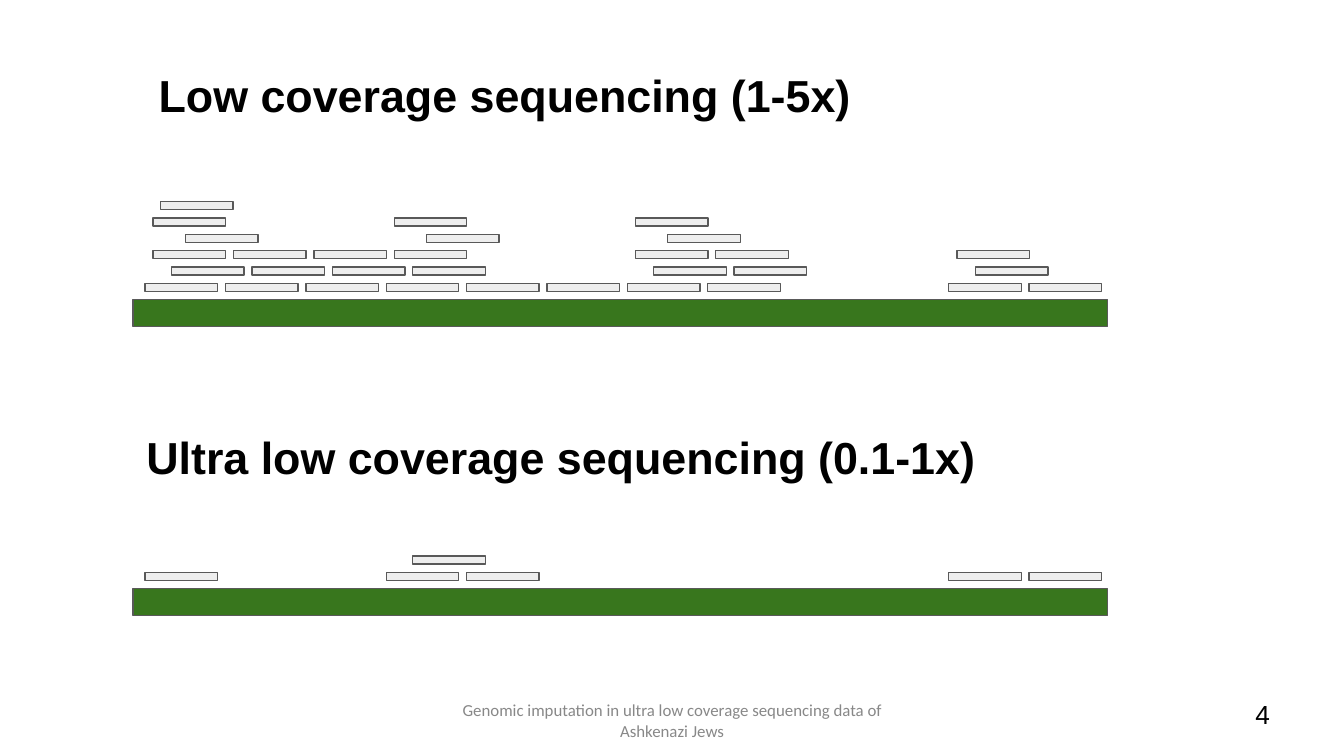
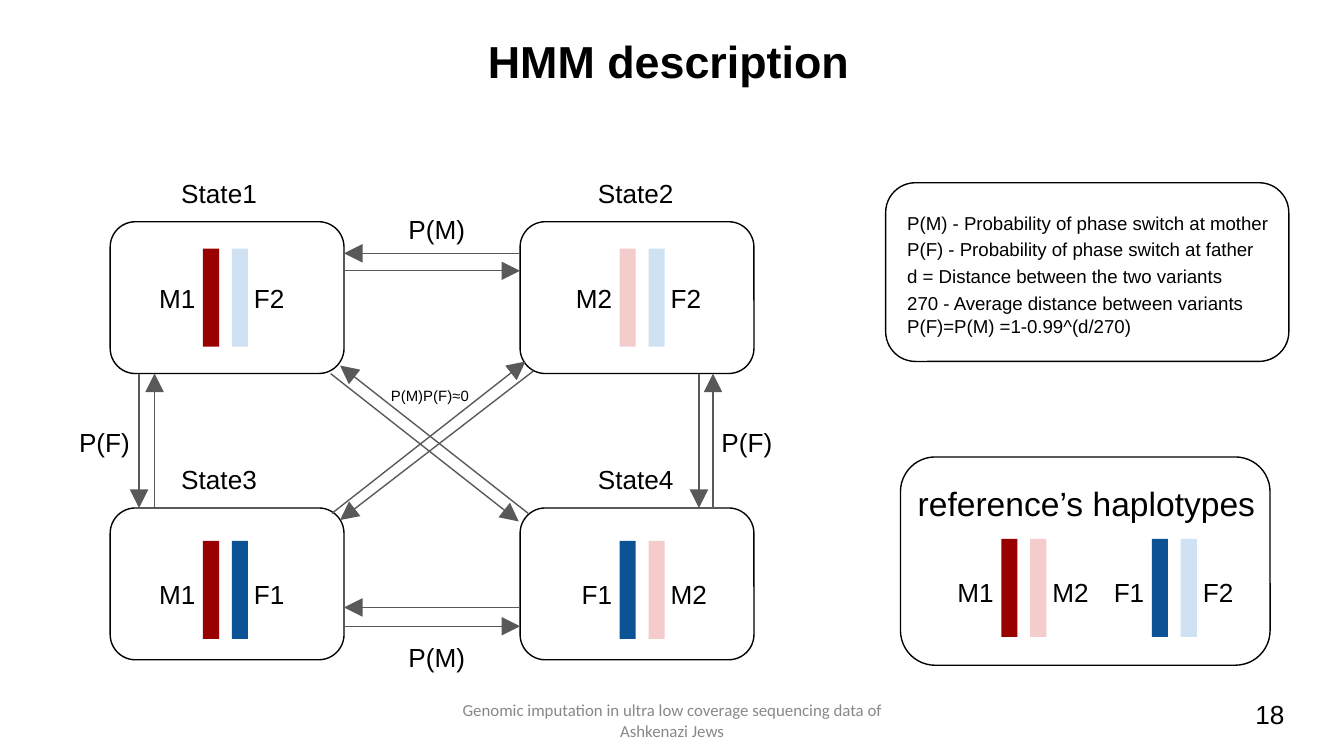
from dataclasses import dataclass

from lxml import etree
from pptx import Presentation
from pptx import util as u
from pptx.dml.color import RGBColor
from pptx.enum import shapes, text
from pptx.oxml.ns import qn

COLUMNS, ROWS = 100, 56.25  # square grid cells, 0.1 inch each


@dataclass(frozen=True)
class Theme:
    sans: str = "Arial"
    footer_font: str = "Calibri"
    ink: str = "000000"
    muted: str = "888888"
    outline: str = "595959"
    genome: str = "38761D"
    dna_read: str = "EEEEEE"
    title: int = 24
    heading: int = 18
    label: int = 14
    note: int = 10
    footer: int = 9
    small: int = 8
    hairline: float = 0.75


HAPLOTYPES = {"M1": "990000", "M2": "F4CCCC", "F1": "0B5394", "F2": "CFE2F3"}
LEFT, CENTER, RIGHT = text.PP_ALIGN.LEFT, text.PP_ALIGN.CENTER, text.PP_ALIGN.RIGHT
TOP, MIDDLE = text.MSO_ANCHOR.TOP, text.MSO_ANCHOR.MIDDLE


class Deck:
    def __init__(self, theme):
        self.theme = theme
        self.prs = Presentation()
        self.prs.slide_width, self.prs.slide_height = u.Inches(10), u.Inches(5.625)
        self.slide = None

    def x(self, columns):
        return round(self.prs.slide_width * columns / COLUMNS)

    def y(self, rows):
        return round(self.prs.slide_height * rows / ROWS)

    def box(self, left, top, width, height):
        return self.x(left), self.y(top), self.x(width), self.y(height)

    def new_slide(self, layout, title, at, number):
        """Start a slide with its title, footer and number."""
        self.slide = self.prs.slides.add_slide(self.prs.slide_layouts[layout])
        self.placeholder(self.slide.shapes.title, at, [title],
                         size=self.theme.title, bold=True)
        self.label("Genomic imputation in ultra low coverage sequencing data of Ashkenazi Jews",
                   (33.1, 52.1, 33.8, 3), size=self.theme.footer,
                   font=self.theme.footer_font, color=self.theme.muted,
                   align=CENTER, anchor=MIDDLE, inset=(0.7, 0.4))
        self.label(number, (92.7, 51, 6, 4.3), anchor=MIDDLE, inset=(0.7, 0.4))

    def set_text(self, frame, lines, size=None, font=None, color=None, bold=False,
                 align=LEFT, anchor=TOP, inset=(1, 1), spacing=()):
        frame.word_wrap = True
        frame.auto_size = text.MSO_AUTO_SIZE.NONE
        frame.vertical_anchor = anchor
        frame.margin_left = frame.margin_right = self.x(inset[0])
        frame.margin_top = frame.margin_bottom = self.y(inset[1])
        frame.text = "\n".join(lines)
        for i, paragraph in enumerate(frame.paragraphs):
            paragraph.alignment = align
            paragraph.space_before = u.Pt(0)
            paragraph.line_spacing = spacing[i] if spacing else 1.0
            paragraph.font.size = u.Pt(size or self.theme.label)
            paragraph.font.name = font or self.theme.sans
            paragraph.font.bold = bold
            paragraph.font.color.rgb = RGBColor.from_string(color or self.theme.ink)

    def label(self, words, at, **style):
        self.set_text(self.slide.shapes.add_textbox(*self.box(*at)).text_frame, [words], **style)

    def placeholder(self, holder, at, lines, **style):
        holder.left, holder.top, holder.width, holder.height = self.box(*at)
        self.set_text(holder.text_frame, lines, **style)

    def plain_list(self, at, lines, **style):
        """Fill the body placeholder without bullets or indents."""
        body = self.slide.placeholders[1]
        self.placeholder(body, at, lines, **style)
        for paragraph in body.text_frame.paragraphs:
            props = paragraph._p.get_or_add_pPr()
            props.set("marL", "0")
            props.set("indent", "0")
            props.find(qn("a:defRPr")).addprevious(etree.Element(qn("a:buNone")))

    def shape(self, at, fill=None, line=None, kind=shapes.MSO_SHAPE.RECTANGLE):
        item = self.slide.shapes.add_shape(kind, *self.box(*at))
        item.shadow.inherit = False
        if fill:
            item.fill.solid()
            item.fill.fore_color.rgb = RGBColor.from_string(fill)
        else:
            item.fill.background()
        if line:
            item.line.color.rgb = RGBColor.from_string(line)
            item.line.width = u.Pt(self.theme.hairline)
        else:
            item.line.fill.background()

    def panel(self, at):
        self.shape(at, line=self.theme.ink, kind=shapes.MSO_SHAPE.ROUNDED_RECTANGLE)

    def arrow(self, x1, y1, x2, y2):
        link = self.slide.shapes.add_connector(
            shapes.MSO_CONNECTOR.STRAIGHT, self.x(x1), self.y(y1), self.x(x2), self.y(y2))
        link.line.color.rgb = RGBColor.from_string(self.theme.outline)
        link.line.width = u.Pt(self.theme.hairline)
        props = link.element.spPr
        etree.SubElement(props.find(qn("a:ln")), qn("a:tailEnd"),
                         type="triangle", w="lg", len="lg")
        etree.SubElement(props, qn("a:effectLst"))

    def coverage(self, genome_top, levels):
        """Draw a genome with reads stacked on it; levels hold the slots covered."""
        starts = (10.8, 12.77, 11.4, 13.8, 11.4, 11.95)
        self.shape((9.9, genome_top, 72.5, 2), self.theme.genome, self.theme.outline)
        for level, (start, slots) in enumerate(zip(starts, levels)):
            for slot in slots:
                self.shape((start + 5.98 * slot, genome_top - 1.2 - 1.22 * level, 5.4, 0.6),
                           self.theme.dna_read, self.theme.outline)

    def haplotype_pair(self, left, top, first, second, drop=0):
        """Draw two bars with their names outside them."""
        gap, width, height = 2.15, 1.2, 7.3
        for i, name in enumerate((first, second)):
            self.shape((left + i * gap, top, width, height), HAPLOTYPES[name])
        row = top + drop
        self.label(first, (left - 5.55, row, 5, height),
                   align=RIGHT, anchor=MIDDLE, inset=(0, 0))
        self.label(second, (left + gap + width + 0.45, row, 5, height),
                   anchor=MIDDLE, inset=(0, 0))


def coverage_slide(deck):
    deck.new_slide(5, "Low coverage sequencing (1-5x)", (10.8, 4, 73.9, 6.5), "4")
    deck.coverage(22.3, [(*range(8), 10, 11), (0, 1, 2, 3, 6, 7, 10),
                         (0, 1, 2, 3, 6, 7, 10), (0, 3, 6), (0, 3, 6), (0,)])
    deck.label("Ultra low coverage sequencing (0.1-1x)", (9.9, 31, 73.9, 4.8),
               size=deck.theme.title, bold=True)
    deck.coverage(43.8, [(0, 3, 4, 10, 11), (3,)])


def hmm_slide(deck):
    theme = deck.theme
    deck.new_slide(1, "HMM description", (35.3, 1.5, 30, 5.8), "18")

    # States
    box_width, box_height = 17.4, 11.3
    lefts, tops = (8.2, 38.7), (16.5, 37.8)
    pairs = [("M1", "F2"), ("M2", "F2"), ("M1", "F1"), ("F1", "M2")]
    for i, pair in enumerate(pairs):
        row, column = divmod(i, 2)
        bars_left = (15.1, 46.1)[column]
        deck.panel((lefts[column], tops[row], box_width, box_height))
        deck.haplotype_pair(bars_left, (18.5, 40.25)[row], *pair, drop=0.3 * row)
        deck.label(f"State{i + 1}", (bars_left - 2.6, tops[row] - 4.3, 7.9, 4.3))

    # Transitions along the sides, one arrow each way
    west, east = lefts[0] + box_width, lefts[1]
    north, south = tops[0] + box_height, tops[1]
    for back, forth in ((18.85, 20.15), (45.2, 46.6)):
        deck.arrow(east, back, west, back)
        deck.arrow(west, forth, east, forth)
    for down, up in ((10.35, 11.5), (52, 53.05)):
        deck.arrow(down, north, down, south)
        deck.arrow(up, south, up, north)

    # Transitions across the diagonals
    for ends in ((24.6, 27.8, 38.6, 38.8), (39.3, 38.2, 25.3, 27.2),
                 (39.7, 27.6, 25.3, 38.7), (24.7, 38.2, 39.1, 26.9)):
        deck.arrow(*ends)

    # Transition probabilities
    for top in (14.9, 46.7):
        deck.label("P(M)", (29.4, top, 7.1, 4.3))
    for left in (4.9, 52.7):
        deck.label("P(F)", (left, 30.7, 6.3, 4.3))
    deck.label("P(M)P(F)≈0", (28.1, 27.8, 8.7, 3), size=theme.small)

    # Definitions
    deck.panel((65.9, 13.6, 30, 13.3))
    deck.plain_list((66.5, 14.4, 29.5, 12.4),
                    ["P(M) - Probability of phase switch at mother",
                     "P(F) - Probability of phase switch at father",
                     "d = Distance between the two variants",
                     "270 - Average distance between variants",
                     "P(F)=P(M) =1-0.99^(d/270)"],
                    size=theme.note, spacing=(1.2, 1.2, 1.2, 1.2, 1.0))

    # Reference haplotypes
    deck.panel((67, 34, 27.5, 15.5))
    deck.label("reference’s haplotypes", (67.3, 34.9, 28.1, 4.8), size=theme.heading)
    for left, pair in ((74.5, ("M1", "M2")), (85.7, ("F1", "F2"))):
        deck.haplotype_pair(left, 40.1, *pair, drop=0.3)


def main():
    deck = Deck(Theme())
    coverage_slide(deck)
    hmm_slide(deck)
    deck.prs.save("out.pptx")


if __name__ == "__main__":
    main()
